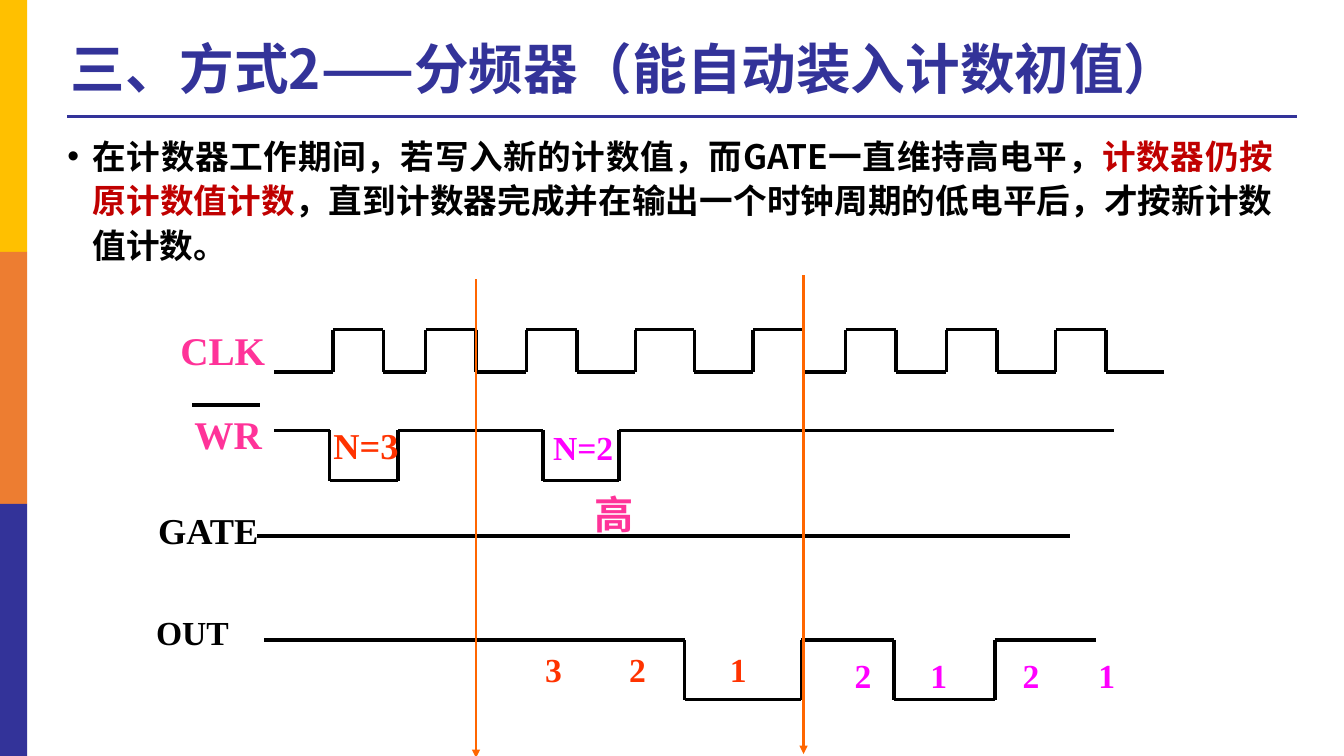
from itertools import pairwise

from lxml.etree import SubElement
from pptx import Presentation
from pptx.dml.color import RGBColor
from pptx.enum.shapes import MSO_CONNECTOR as Connector, MSO_SHAPE as Preset
from pptx.enum.text import MSO_ANCHOR as Anchor, MSO_AUTO_SIZE as AutoSize, PP_ALIGN as Align
from pptx.oxml.ns import qn
from pptx.util import Pt

COLORS = {
    "black": "000000", "navy": "333399", "gold": "FFC000", "orange": "ED7D31",
    "crimson": "C00000", "pink": "FF3399", "red": "FF3300", "magenta": "FF00FF",
    "cursor": "FF6600",
}
CHINESE_FONT = "Noto Sans CJK SC"
LATIN_FONT = "Times New Roman"


class TimingSlide:
    """Holds the slide and draws its elements in one style, in points."""

    def __init__(self, slide):
        """Keep the slide to draw on."""
        self.slide = slide

    def color(self, name):
        """Return a named colour."""
        return RGBColor.from_string(COLORS[name])

    def style(self, paragraph, size, color, font=LATIN_FONT):
        """Set the bold font of a whole paragraph."""
        paragraph.font.size = Pt(size)
        paragraph.font.bold = True
        paragraph.font.name = font
        paragraph.font.color.rgb = self.color(color)
        properties = paragraph._p.get_or_add_pPr().find(qn("a:defRPr"))
        SubElement(properties, qn("a:ea")).set("typeface", CHINESE_FONT)

    def place(self, shape, left, top, width, height):
        """Move and size a placeholder."""
        shape.left, shape.top = Pt(left), Pt(top)
        shape.width, shape.height = Pt(width), Pt(height)
        shape.text_frame.auto_size = AutoSize.NONE

    def title(self, text, box):
        """Fill the title placeholder."""
        shape = self.slide.shapes.title
        self.place(shape, *box)
        shape.text_frame.vertical_anchor = Anchor.MIDDLE
        shape.text_frame.text = text
        paragraph = shape.text_frame.paragraphs[0]
        paragraph.alignment = Align.LEFT
        paragraph.line_spacing = 0.9
        self.style(paragraph, 39, "navy", CHINESE_FONT)

    def bullet(self, runs, box):
        """Fill the body placeholder with one bullet of coloured runs."""
        shape = self.slide.placeholders[1]
        self.place(shape, *box)
        shape.text_frame.vertical_anchor = Anchor.TOP
        paragraph = shape.text_frame.paragraphs[0]
        paragraph.alignment = Align.JUSTIFY
        paragraph.line_spacing = 1.1
        paragraph.space_before = Pt(0)
        properties = paragraph._p.get_or_add_pPr()
        properties.set("marL", str(Pt(18)))
        properties.set("indent", str(Pt(-18)))
        SubElement(properties, qn("a:buFont")).set("typeface", "Arial")
        SubElement(properties, qn("a:buChar")).set("char", "•")
        self.style(paragraph, 24, "black", CHINESE_FONT)
        for text, color in runs:
            run = paragraph.add_run()
            run.text = text
            run.font.color.rgb = self.color(color)

    def band(self, top, height, color):
        """Draw one block of the left edge."""
        shape = self.slide.shapes.add_shape(Preset.RECTANGLE, Pt(0), Pt(top), Pt(19.5), Pt(height))
        shape.shadow.inherit = False
        shape.fill.solid()
        shape.fill.fore_color.rgb = self.color(color)
        shape.line.fill.background()

    def line(self, start, end, color="black", width=2.5, arrow=False):
        """Draw a straight line, with an arrowhead at its end if asked."""
        connector = self.slide.shapes.add_connector(
            Connector.STRAIGHT, *map(Pt, start), *map(Pt, end))
        connector.line.color.rgb = self.color(color)
        connector.line.width = Pt(width)
        if arrow:
            SubElement(connector.line._get_or_add_ln(), qn("a:tailEnd")).set("type", "triangle")
        SubElement(connector._element.spPr, qn("a:effectLst"))

    def wave(self, edges, first, second):
        """Draw a square wave that switches level at every inner edge."""
        level, other = first, second
        points = [(edges[0], level)]
        for edge in edges[1:-1]:
            points += [(edge, level), (edge, other)]
            level, other = other, level
        points.append((edges[-1], level))
        for start, end in pairwise(points):
            self.line(start, end)

    def label(self, text, box, size, color, tabs=()):
        """Add a text box, with tab stops if given."""
        shape = self.slide.shapes.add_textbox(*map(Pt, box))
        frame = shape.text_frame
        frame.word_wrap = True
        frame.auto_size = AutoSize.SHAPE_TO_FIT_TEXT
        frame.text = text
        paragraph = frame.paragraphs[0]
        if tabs:
            stops = SubElement(paragraph._p.get_or_add_pPr(), qn("a:tabLst"))
            for position in tabs:
                SubElement(stops, qn("a:tab"), pos=str(Pt(position)), algn="l")
        self.style(paragraph, size, color)


def main():
    """Build the timing diagram of mode 2."""
    presentation = Presentation()
    presentation.slide_width, presentation.slide_height = Pt(960), Pt(540)
    page = TimingSlide(presentation.slides.add_slide(presentation.slide_layouts[1]))

    page.line((48.2, 83), (926.6, 83), "navy", 2.25)
    for index, color in enumerate(("gold", "orange", "navy")):
        page.band(index * 180, 180, color)
    page.title("三、方式2——分频器（能自动装入计数初值）", (43.2, 20.2, 838.8, 62.6))
    page.bullet([
        ("在计数器工作期间，若写入新的计数值，而GATE一直维持高电平，", "black"),
        ("计数器仍按原计数值计数", "crimson"),
        ("，直到计数器完成并在输出一个时钟周期的低电平后，才按新计数值计数。", "black"),
    ], (41, 90.7, 875.5, 388.8))

    clock_edges = [196, 237.8, 273.8, 304, 340, 376, 412, 453.8, 496, 538,
                   574, 604, 640, 676, 712, 754, 790, 831.6]
    page.wave(clock_edges, 265.7, 235.4)
    page.wave([196, 235.4, 284.4, 388, 442, 795.6], 307.4, 343.4)
    page.wave([188.6, 489, 572.4, 638.6, 710.6, 782.6], 457.2, 499.7)
    page.line((183.6, 383), (764.6, 383), width=2.75)
    page.line((137.5, 289.4), (185.8, 289.4), width=2.75)

    for text, box, size, color in (
        ("CLK", (121.7, 229.7, 120, 41), 28, "pink"),
        ("WR", (131.8, 289.4, 66, 41), 28, "pink"),
        ("GATE", (105.8, 359.3, 109.4, 38.9), 26, "black"),
        ("OUT", (104.4, 433.4, 131.8, 36.7), 24, "black"),
        ("N=3", (231.1, 298.8, 95.8, 38.9), 26, "red"),
        ("N=2", (388, 301.7, 131.8, 36.7), 24, "magenta"),
        ("高", (417.6, 347, 155.5, 41), 28, "pink"),
    ):
        page.label(text, box, size, color)
    page.label("3\t2\t1", (382.3, 460, 221.8, 36.7), 24, "red", (60, 132))
    page.label("2\t1\t2\t1", (603.4, 464.4, 234, 36.7), 24, "magenta", (54, 120, 174))

    for x, top in ((340, 199.4), (574, 196.6)):
        page.line((x, top), (x, top + 342), "cursor", 1.75, arrow=True)
    presentation.save("out.pptx")


if __name__ == "__main__":
    main()
